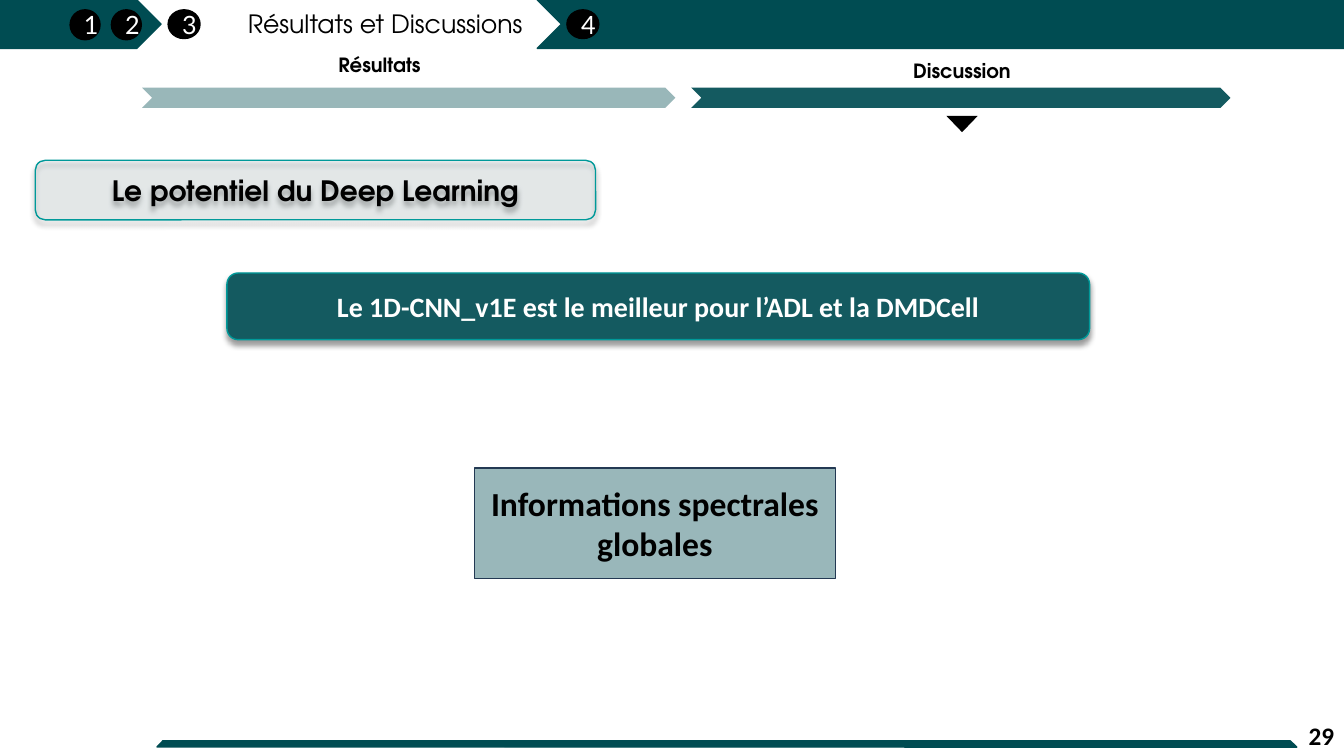
from lxml import etree
from pptx import Presentation
from pptx.dml.color import RGBColor
from pptx.enum.shapes import MSO_SHAPE
from pptx.enum.text import MSO_ANCHOR, PP_ALIGN
from pptx.oxml.ns import qn
from pptx.util import Cm, Pt

CHEVRON = MSO_SHAPE.CHEVRON
PENTAGON = MSO_SHAPE.PENTAGON
OVAL = MSO_SHAPE.OVAL
TRIANGLE = MSO_SHAPE.ISOSCELES_TRIANGLE
STRIPE = MSO_SHAPE.DIAGONAL_STRIPE
ROUNDED = MSO_SHAPE.ROUNDED_RECTANGLE
RECTANGLE = MSO_SHAPE.RECTANGLE
LEFT, CENTER, RIGHT = PP_ALIGN.LEFT, PP_ALIGN.CENTER, PP_ALIGN.RIGHT
TOP, MIDDLE = MSO_ANCHOR.TOP, MSO_ANCHOR.MIDDLE

COLORS = {
    "dark": "004C52",
    "teal": "145A60",
    "pale": "99B7BA",
    "edge": "009999",
    "navy": "233953",
    "black": "000000",
    "white": "FFFFFF",
}
HEADING_FONT, BODY_FONT, BADGE_FONT = "TeX Gyre Adventor", "Calibri", "Lato"
SLIDE_WIDTH, SLIDE_HEIGHT = 33.87, 19.05


def rgb(name):
    """Return the palette colour of that name."""
    return RGBColor.from_string(COLORS[name])


def place(shape, left, top, width, height):
    """Move and size a shape, in centimetres."""
    shape.left, shape.top = Cm(left), Cm(top)
    shape.width, shape.height = Cm(width), Cm(height)


def write(shape, text, size, font, color, bold=False, align=CENTER, anchor=MIDDLE):
    """Write one formatted run into a shape."""
    frame = shape.text_frame
    frame.word_wrap = True
    frame.vertical_anchor = anchor
    paragraph = frame.paragraphs[0]
    paragraph.alignment = align
    run = paragraph.add_run()
    run.text = text
    run.font.size = Pt(size)
    run.font.name = font
    run.font.bold = bold
    run.font.color.rgb = rgb(color)


def add_figure(slide, kind, box, fill, line=None, alpha=None):
    """Add a flat preset shape, optionally outlined or translucent."""
    shape = slide.shapes.add_shape(kind, *map(Cm, box))
    shape.shadow.inherit = False
    shape.fill.solid()
    shape.fill.fore_color.rgb = rgb(fill)
    if alpha is not None:
        color = shape._element.spPr.find(qn("a:solidFill"))[0]
        etree.SubElement(color, qn("a:alpha"), val=str(alpha * 1000))
    if line:
        shape.line.color.rgb = rgb(line)
        shape.line.width = Pt(1)
    else:
        shape.line.fill.background()
    return shape


def add_label(slide, box, *text, **style):
    """Add a wrapping text box."""
    shape = slide.shapes.add_textbox(*map(Cm, box))
    write(shape, *text, **style)


def add_drop_shadow(shape):
    """Give a shape a soft shadow straight below it."""
    effects = shape._element.spPr.find(qn("a:effectLst"))
    shadow = etree.SubElement(
        effects, qn("a:outerShdw"), blurRad=str(Pt(4)), dist=str(Pt(3)),
        dir="5400000", algn="t", rotWithShape="0",
    )
    color = etree.SubElement(shadow, qn("a:srgbClr"), val=COLORS["black"])
    etree.SubElement(color, qn("a:alpha"), val="40000")


def build_header(slide, left, top, height):
    """Build the chapter bar with its title and numbered badges."""
    for kind, offset, width in ((CHEVRON, 13.54, 23.09), (PENTAGON, 0, 4.06)):
        add_figure(slide, kind, (left + offset, top, width, height), "dark", "dark")
    title = slide.shapes.title
    place(title, left + 5.99, top + 0.08, 10.77, 1.02)
    write(title, "Résultats et Discussions", 18, HEADING_FONT, "black",
          align=LEFT, anchor=TOP)
    badges = (("1", 1.75, 0.79, 0.79), ("2", 2.79, 0.79, 0.79),
              ("3", 4.22, 0.84, 0.76), ("4", 14.27, 0.84, 0.76))
    for number, offset, width, tall in badges:
        box = (left + offset, top + 0.23, width, tall)
        badge = add_figure(slide, OVAL, box, "black")
        write(badge, number, 18, BADGE_FONT, "white")


def build_tabs(slide, left, top):
    """Build the two section arrows and the marker of the current one."""
    add_figure(slide, CHEVRON, (left, top, 13.44, 0.51), "dark", alpha=40)
    add_figure(slide, CHEVRON, (left + 13.84, top, 13.59, 0.51), "teal")
    marker = add_figure(slide, TRIANGLE, (left + 20.27, top + 0.71, 0.79, 0.41), "black")
    marker.rotation = 180
    labels = (("Résultats", 4.55, 0.99, 2.87), ("Discussion", 15.04, 0.84, 11.25))
    for text, offset, rise, width in labels:
        add_label(slide, (left + offset, top - rise, width, 0.86),
                  text, 14, HEADING_FONT, "black", bold=True, anchor=TOP)


def build_content(slide, left, top):
    """Build the topic banner, the finding and its explanation."""
    topic = add_figure(slide, ROUNDED, (left, top, 14.12, 1.5), "pale", "edge", 15)
    write(topic, "Le potentiel du Deep Learning", 20, HEADING_FONT, "black", bold=True)
    finding = add_figure(slide, ROUNDED, (left + 4.83, top + 2.84, 21.74, 1.68),
                         "teal", "edge")
    write(finding, "Le 1D-CNN_v1E est le meilleur pour l’ADL et la DMDCell",
          20, BODY_FONT, "white", bold=True)
    for banner in (topic, finding):
        add_drop_shadow(banner)
    reason = add_figure(slide, RECTANGLE, (left + 11.07, top + 7.75, 9.09, 2.79),
                        "pale", "navy")
    write(reason, "Informations spectrales globales", 24, BODY_FONT, "black", bold=True)


def build_footer(slide, right, bottom):
    """Build the bottom stripe and the page number."""
    stripe = add_figure(slide, STRIPE, (right - 25.95, bottom - 10.13, 20.8, 19.81),
                        "dark", "dark")
    stripe.adjustments[0] = 0.989
    stripe.rotation = 43.6
    add_label(slide, (right - 7.62, bottom - 1.02, 7.62, 1.02),
              "29", 18, BODY_FONT, "black", bold=True, align=RIGHT)


def main():
    """Build and save the presentation."""
    presentation = Presentation()
    presentation.slide_width = Cm(SLIDE_WIDTH)
    presentation.slide_height = Cm(SLIDE_HEIGHT)
    slide = presentation.slides.add_slide(presentation.slide_layouts[5])
    build_header(slide, 0, 0, 1.22)
    build_tabs(slide, 3.58, 2.21)
    build_content(slide, 0.89, 4.04)
    build_footer(slide, SLIDE_WIDTH, SLIDE_HEIGHT)
    presentation.save("out.pptx")


if __name__ == "__main__":
    main()
